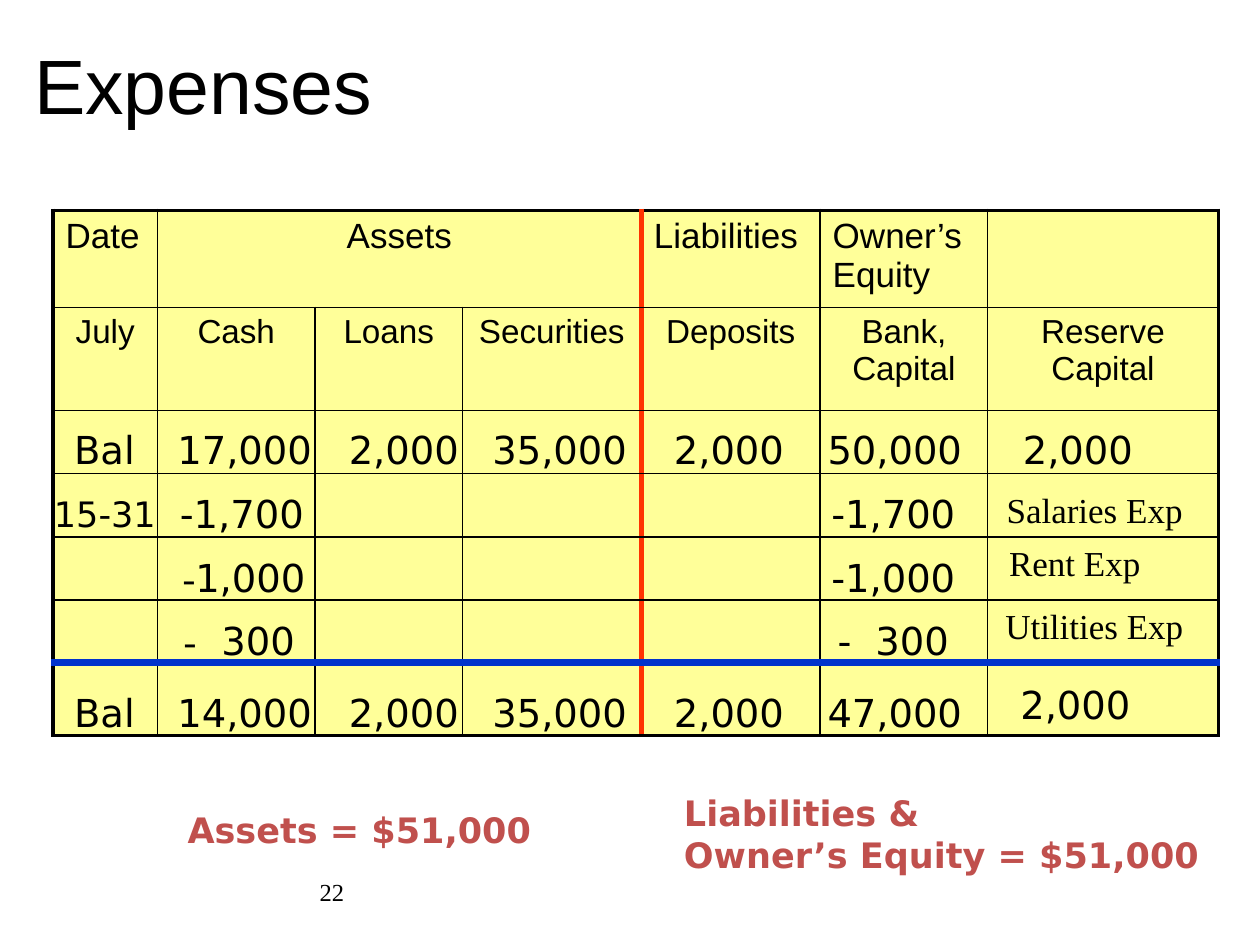
from dataclasses import dataclass

import lxml.etree
import pptx
import pptx.dml.color
import pptx.enum.text
import pptx.oxml.ns
import pptx.shapes.shapetree
import pptx.table
import pptx.text.text
import pptx.util

Inches = pptx.util.Inches
Pt = pptx.util.Pt
Align = pptx.enum.text.PP_ALIGN
Anchor = pptx.enum.text.MSO_ANCHOR
qn = pptx.oxml.ns.qn

COLORS = {"ink": "000000", "paper": "FFFFFF", "cell": "FFFF99",
          "sides": "FF3300", "total": "0033CC", "equation": "C0504D"}
SANS, SERIF, FIGURES = "Arial", "Times New Roman", "DejaVu Sans"

COLUMN_WIDTHS = [0.83, 1.25, 1.17, 1.42, 1.42, 1.33, 1.83]
ROW_HEIGHTS = [0.77, 0.82, 0.5, 0.5, 0.5, 0.5, 0.58]
CATEGORIES = ["Date", "Assets", "", "", "Liabilities", "Owner’s Equity", ""]
ACCOUNTS = ["July", "Cash", "Loans", "Securities", "Deposits",
            "Bank, Capital", "Reserve Capital"]
BALANCE_COLUMNS = [(0.49, 0.68), (1.31, 1.28), (2.67, 1.09),
                   (3.81, 1.28), (5.25, 1.09), (6.47, 1.3)]
TAB_STOP = 0.3


@dataclass
class Rule:
    color: str
    width: float


@dataclass
class Entry:
    left: float
    top: float
    width: float
    runs: list[tuple[str, str]]
    size: float = 22
    height: float = 0.47


THIN, FRAME = Rule("ink", 1), Rule("ink", 2.25)
COLUMN_RULES = {0: FRAME, 4: Rule("sides", 3), 7: FRAME}
ROW_RULES = {0: FRAME, 4: Rule("ink", 1.5), 5: Rule("ink", 1.5),
             6: Rule("total", 4.5), 7: FRAME}

EXPENSES = [
    Entry(0.33, 3.86, 1.04, [("15-31", FIGURES)], 20, 0.43),
    Entry(1.33, 3.84, 1.23, [("-1,700", FIGURES)]),
    Entry(6.5, 3.84, 1.23, [("-1,700", FIGURES)]),
    Entry(7.89, 3.83, 1.61, [("Salaries Exp", SERIF)], 20, 0.44),
    Entry(1.35, 4.35, 1.19, [("-", SERIF), ("1,000", FIGURES)]),
    Entry(6.5, 4.35, 1.23, [("-1,000", FIGURES)]),
    Entry(7.91, 4.25, 1.25, [("Rent Exp", SERIF)], 20, 0.44),
    Entry(1.36, 4.85, 1.14, [("-\t", SERIF), ("300", FIGURES)]),
    Entry(6.55, 4.85, 1.14, [("-\t300", FIGURES)]),
    Entry(7.88, 4.75, 1.62, [("Utilities Exp", SERIF)], 20, 0.44),
]


def rgb(name: str) -> pptx.dml.color.RGBColor:
    return pptx.dml.color.RGBColor.from_string(COLORS[name])


def add_run(paragraph: pptx.text.text._Paragraph, text: str, font: str,
            size: float, color: str = "ink", bold: bool = False) -> None:
    run = paragraph.add_run()
    run.text = text
    run.font.name = font
    run.font.size = Pt(size)
    run.font.bold = bold
    run.font.color.rgb = rgb(color)


def add_entry(shapes: pptx.shapes.shapetree._BaseGroupShapes, entry: Entry) -> None:
    box = shapes.add_textbox(Inches(entry.left), Inches(entry.top),
                             Inches(entry.width), Inches(entry.height))
    box.text_frame.word_wrap = False
    box.text_frame.auto_size = pptx.enum.text.MSO_AUTO_SIZE.SHAPE_TO_FIT_TEXT
    paragraph = box.text_frame.paragraphs[0]
    for text, font in entry.runs:
        add_run(paragraph, text, font, entry.size)
    if any("\t" in text for text, _ in entry.runs):
        tabs = lxml.etree.SubElement(paragraph._p.get_or_add_pPr(), qn("a:tabLst"))
        lxml.etree.SubElement(tabs, qn("a:tab"), pos=str(Inches(TAB_STOP)), algn="l")


def add_equation(shapes: pptx.shapes.shapetree.SlideShapes, left: float, top: float,
                 width: float, height: float, lines: list[str]) -> None:
    box = shapes.add_textbox(Inches(left), Inches(top), Inches(width), Inches(height))
    box.fill.solid()
    box.fill.fore_color.rgb = rgb("paper")
    frame = box.text_frame
    frame.word_wrap = False
    frame.auto_size = pptx.enum.text.MSO_AUTO_SIZE.SHAPE_TO_FIT_TEXT
    for index, line in enumerate(lines):
        paragraph = frame.add_paragraph() if index else frame.paragraphs[0]
        add_run(paragraph, line, FIGURES, 20, "equation", True)


def style_cell(cell: pptx.table._Cell, row: int, column: int) -> None:
    right = column + (cell.span_width if cell.is_merge_origin else 1)
    edges = {"a:lnL": COLUMN_RULES.get(column, THIN),
             "a:lnR": COLUMN_RULES.get(right, THIN),
             "a:lnT": ROW_RULES.get(row, THIN),
             "a:lnB": ROW_RULES.get(row + 1, THIN)}
    properties = cell._tc.get_or_add_tcPr()
    for tag, rule in edges.items():
        line = lxml.etree.SubElement(properties, qn(tag), w=str(Pt(rule.width)))
        fill = lxml.etree.SubElement(line, qn("a:solidFill"))
        lxml.etree.SubElement(fill, qn("a:srgbClr"), val=COLORS[rule.color])
    cell.fill.solid()
    cell.fill.fore_color.rgb = rgb("cell")


def add_ledger(shapes: pptx.shapes.shapetree.SlideShapes) -> None:
    ledger = shapes.add_table(len(ROW_HEIGHTS), len(COLUMN_WIDTHS), Inches(0.42),
                              Inches(1.67), Inches(9.25), Inches(4.17)).table
    ledger.first_row = ledger.horz_banding = False
    for column, width in zip(ledger.columns, COLUMN_WIDTHS):
        column.width = Inches(width)
    for row, height in zip(ledger.rows, ROW_HEIGHTS):
        row.height = Inches(height)
    ledger.cell(0, 1).merge(ledger.cell(0, 3))
    for row in range(len(ROW_HEIGHTS)):
        for column in range(len(COLUMN_WIDTHS)):
            cell = ledger.cell(row, column)
            if not cell.is_spanned:
                style_cell(cell, row, column)
    for row, (headings, size) in enumerate([(CATEGORIES, 20), (ACCOUNTS, 19)]):
        for column, heading in enumerate(headings):
            if heading:
                paragraph = ledger.cell(row, column).text_frame.paragraphs[0]
                centred = row == 1 or heading == "Assets"
                paragraph.alignment = Align.CENTER if centred else Align.LEFT
                paragraph.space_before = Pt(size * 0.2)
                add_run(paragraph, heading, SANS, size)


def balance(top: float, amounts: list[str]) -> list[Entry]:
    return [Entry(left, top, width, [(amount, FIGURES)])
            for (left, width), amount in zip(BALANCE_COLUMNS, amounts)]


def main() -> None:
    deck = pptx.Presentation()
    deck.slide_width, deck.slide_height = Inches(10), Inches(7.5)
    slide = deck.slides.add_slide(deck.slide_layouts[5])
    shapes = slide.shapes

    title = shapes.title
    title.left, title.top = Inches(0.17), Inches(0.25)
    title.width, title.height = Inches(9.08), Inches(0.83)
    title.text_frame.vertical_anchor = Anchor.MIDDLE
    heading = title.text_frame.paragraphs[0]
    heading.alignment = Align.LEFT
    add_run(heading, "Expenses", SANS, 44)

    add_ledger(shapes)

    page = shapes.add_textbox(Inches(0.75), Inches(6.83), Inches(2.08), Inches(0.5))
    page.text_frame.word_wrap = True
    page.text_frame.vertical_anchor = Anchor.MIDDLE
    page_number = page.text_frame.paragraphs[0]
    page_number.alignment = Align.RIGHT
    add_run(page_number, "22", SERIF, 14)

    add_equation(shapes, 1.39, 6.37, 2.94, 0.43, ["Assets = $51,000"])
    add_equation(shapes, 5.33, 6.23, 4.29, 0.77,
                 ["Liabilities &", "Owner’s Equity = $51,000"])

    opening = balance(3.33, ["Bal", "17,000", "2,000", "35,000", "2,000", "50,000"])
    closing = balance(5.42, ["Bal", "14,000", "2,000", "35,000", "2,000", "47,000"])
    for entries in (opening, EXPENSES, closing):
        group = shapes.add_group_shape()
        for entry in entries:
            add_entry(group.shapes, entry)
    for left, top in [(8.02, 3.33), (8, 5.36)]:
        add_entry(shapes, Entry(left, top, 1.1, [("2,000", FIGURES)]))

    deck.save("out.pptx")


if __name__ == "__main__":
    main()
